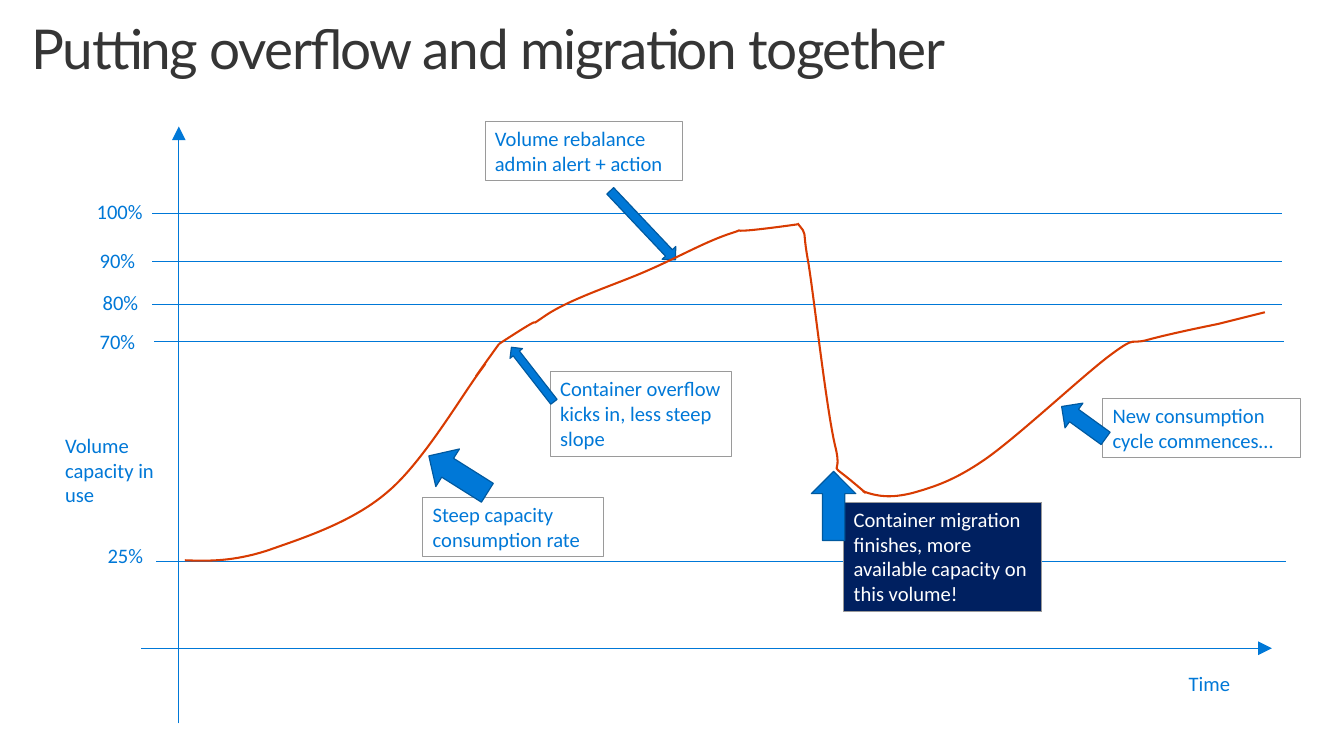
from lxml import etree
from pptx import Presentation
from pptx.dml.color import RGBColor
from pptx.enum import shapes as sh, text as tx
from pptx.oxml.ns import qn
from pptx.util import Inches, Pt

BLUE = RGBColor(0x00, 0x78, 0xD7)
EDGE = RGBColor(0x00, 0x59, 0x9F)
NAVY = RGBColor(0x00, 0x20, 0x60)
GRAY = RGBColor(0x9A, 0x9A, 0x9A)
DARK = RGBColor(0x35, 0x35, 0x35)
RED = RGBColor(0xD8, 0x3B, 0x01)
WHITE = RGBColor(0xFF, 0xFF, 0xFF)

TITLE = (0.16, 0.12, 13, 1)
CHART = (0, 1, 13.6, 6.65)

# Label, label left and top, line left and height; all within the chart box
LEVELS = [
    ("100%", 0.88, 0.96, 1.54, 1.16),
    ("90%", 0.91, 1.46, 1.54, 1.65),
    ("80%", 0.94, 1.88, 1.54, 2.08),
    ("70%", 0.91, 2.28, 1.56, 2.46),
    ("25%", 0.99, 4.44, 1.58, 4.68),
]
SPAN = 11.43

# Words, box, fill, text colour, then arrow frame relative to the box, and its turn
CALLS = [
    ("Steep capacity consumption rate", (4.28, 4.03, 1.83, 0.6),
     None, BLUE, (0.13, -0.58, 0.45, 0.7), 122.2),
    ("Container overflow kicks in, less steep slope", (5.57, 2.76, 1.83, 0.86),
     None, BLUE, (-0.26, -0.32, 0.16, 0.7), 142.1),
    ("Volume rebalance admin alert + action", (4.91, 0.23, 2, 0.6),
     None, BLUE, (1.5, 0.57, 0.19, 0.96), 316.6),
    ("New consumption cycle commences…", (11.16, 3.03, 2, 0.6),
     None, BLUE, (-0.35, -0.03, 0.31, 0.55), 125.9),
    ("Container migration finishes, more available capacity on this volume!",
     (8.54, 4.08, 2, 1.11), NAVY, WHITE, (-0.33, -0.31, 0.45, 0.7), 180),
]

# Each curve: a start, then two handles and an end for every cubic segment
CURVES = [
    [(1.87, 4.67), (2.12, 4.68), (2.37, 4.68), (2.71, 4.57),
     (3.05, 4.45), (3.56, 4.29), (3.92, 3.98),
     (4.28, 3.68), (4.68, 2.99), (4.87, 2.74),
     (5.05, 2.49), (4.54, 3.19), (5.05, 2.48)],
    [(5.05, 2.48), (5.65, 2.09), (5.25, 2.38), (5.51, 2.2),
     (5.77, 2.02), (6.26, 1.87), (6.57, 1.73),
     (6.89, 1.59), (7.15, 1.44), (7.4, 1.36),
     (7.65, 1.28), (7.14, 1.4), (8.07, 1.27)],
    [(8.07, 1.26), (8.18, 1.4), (8.11, 1.28), (8.18, 1.66),
     (8.24, 2.03), (8.36, 3.12), (8.45, 3.51),
     (8.55, 3.9), (8.29, 3.58), (8.76, 3.99)],
    [(8.73, 3.97), (8.89, 4.03), (9.02, 4.04), (9.23, 3.99),
     (9.44, 3.93), (9.65, 3.87), (9.98, 3.64),
     (10.32, 3.4), (10.97, 2.79), (11.24, 2.59),
     (11.51, 2.39), (11.43, 2.49), (11.61, 2.44),
     (11.79, 2.39), (12.12, 2.32), (12.32, 2.28),
     (12.52, 2.23), (12.8, 2.16), (12.8, 2.16)],
]


def shift(box, part):
    """Turn a part's place within a box into a place on the slide."""
    return (box[0] + part[0], box[1] + part[1], *part[2:])


def inches(vals):
    return [Inches(v) for v in vals]


def put(obj, vals):
    for key, val in vals.items():
        setattr(obj, key, val)


def paint(shape, fill, edge, width):
    shape.shadow.inherit = False
    if fill is None:
        shape.fill.background()
    else:
        shape.fill.solid()
        shape.fill.fore_color.rgb = fill
    shape.line.color.rgb = edge
    shape.line.width = Pt(width)


def write(shape, words, color=BLUE, wrap=True):
    frame = shape.text_frame
    put(frame, {"text": words, "word_wrap": wrap,
                "vertical_anchor": tx.MSO_ANCHOR.TOP,
                "auto_size": tx.MSO_AUTO_SIZE.SHAPE_TO_FIT_TEXT})
    para = frame.paragraphs[0]
    para.alignment = tx.PP_ALIGN.LEFT
    put(para.font, {"name": "Calibri", "size": Pt(15)})
    para.font.color.rgb = color


def label(slide, box, words, wrap=True):
    write(slide.shapes.add_textbox(*inches(box)), words, wrap=wrap)


def rule(slide, box, start, end, arrow=False):
    ends = inches(shift(box, start) + shift(box, end))
    line = slide.shapes.add_connector(sh.MSO_CONNECTOR.STRAIGHT, *ends)
    line.line.color.rgb = BLUE
    line.line.width = Pt(0.75)
    props = line._element.spPr
    if arrow:
        etree.SubElement(props.find(qn("a:ln")), qn("a:tailEnd"),
                         type="triangle", w="lg", len="lg")
    etree.SubElement(props, qn("a:effectLst"))


def title(slide, box, words):
    head = slide.shapes.title
    put(head, dict(zip(("left", "top", "width", "height"), inches(box))))
    frame = head.text_frame
    put(frame, {"text": words, "word_wrap": True,
                "vertical_anchor": tx.MSO_ANCHOR.TOP,
                "auto_size": tx.MSO_AUTO_SIZE.NONE,
                "margin_left": Inches(0.16), "margin_right": Inches(0.16),
                "margin_top": Inches(0.1), "margin_bottom": Inches(0.1)})
    para = frame.paragraphs[0]
    put(para, {"alignment": tx.PP_ALIGN.LEFT, "line_spacing": 0.9})
    run = para.runs[0]
    put(run.font, {"name": "Lato", "size": Pt(40)})
    run.font.color.rgb = DARK
    run._r.get_or_add_rPr().set("spc", "-100")


def axes(slide, box):
    rule(slide, box, (1.81, 6.32), (1.81, 0.28), arrow=True)
    rule(slide, box, (1.43, 5.56), (12.87, 5.56), arrow=True)
    label(slide, shift(box, (0.56, 3.33, 1.2, 0.86)), "Volume capacity in use")
    label(slide, shift(box, (11.93, 5.74, 0.85, 0.35)), "Time")


def levels(slide, box):
    for words, left, top, start, y in LEVELS:
        rule(slide, box, (start, y), (start + SPAN, y))
        width = 0.67 if words == "100%" else 0.57
        label(slide, shift(box, (left, top, width, 0.35)), words, wrap=False)


def callout(slide, box, words, fill, color, arrow, turn):
    note = slide.shapes.add_shape(sh.MSO_SHAPE.RECTANGLE, *inches(box))
    paint(note, fill, GRAY, 0.75)
    write(note, words, color)
    mark = slide.shapes.add_shape(sh.MSO_SHAPE.DOWN_ARROW,
                                  *inches(shift(box, arrow)))
    paint(mark, BLUE, EDGE, 0.85)
    mark.rotation = turn


def bend(shape):
    """Join every three straight segments into one cubic segment."""
    legs = list(shape._element.iter(qn("a:lnTo")))
    for i in range(0, len(legs), 3):
        cubic = etree.Element(qn("a:cubicBezTo"))
        legs[i].addprevious(cubic)
        for leg in legs[i:i + 3]:
            cubic.append(leg[0])
            leg.getparent().remove(leg)


def curve(slide, box, knots):
    dots = [inches(shift(box, knot)) for knot in knots]
    form = slide.shapes.build_freeform(*dots[0])
    form.add_line_segments(dots[1:], close=False)
    shape = form.convert_to_shape()
    bend(shape)
    paint(shape, None, RED, 1.5)


def chart(slide, box):
    axes(slide, box)
    levels(slide, box)
    for words, place, *style in CALLS:
        callout(slide, shift(box, place), words, *style)
    for knots in CURVES:
        curve(slide, box, knots)


def main():
    deck = Presentation()
    deck.slide_width, deck.slide_height = Inches(13.6), Inches(7.65)
    slide = deck.slides.add_slide(deck.slide_layouts[5])
    title(slide, TITLE, "Putting overflow and migration together")
    chart(slide, CHART)
    deck.save("out.pptx")


if __name__ == "__main__":
    main()
